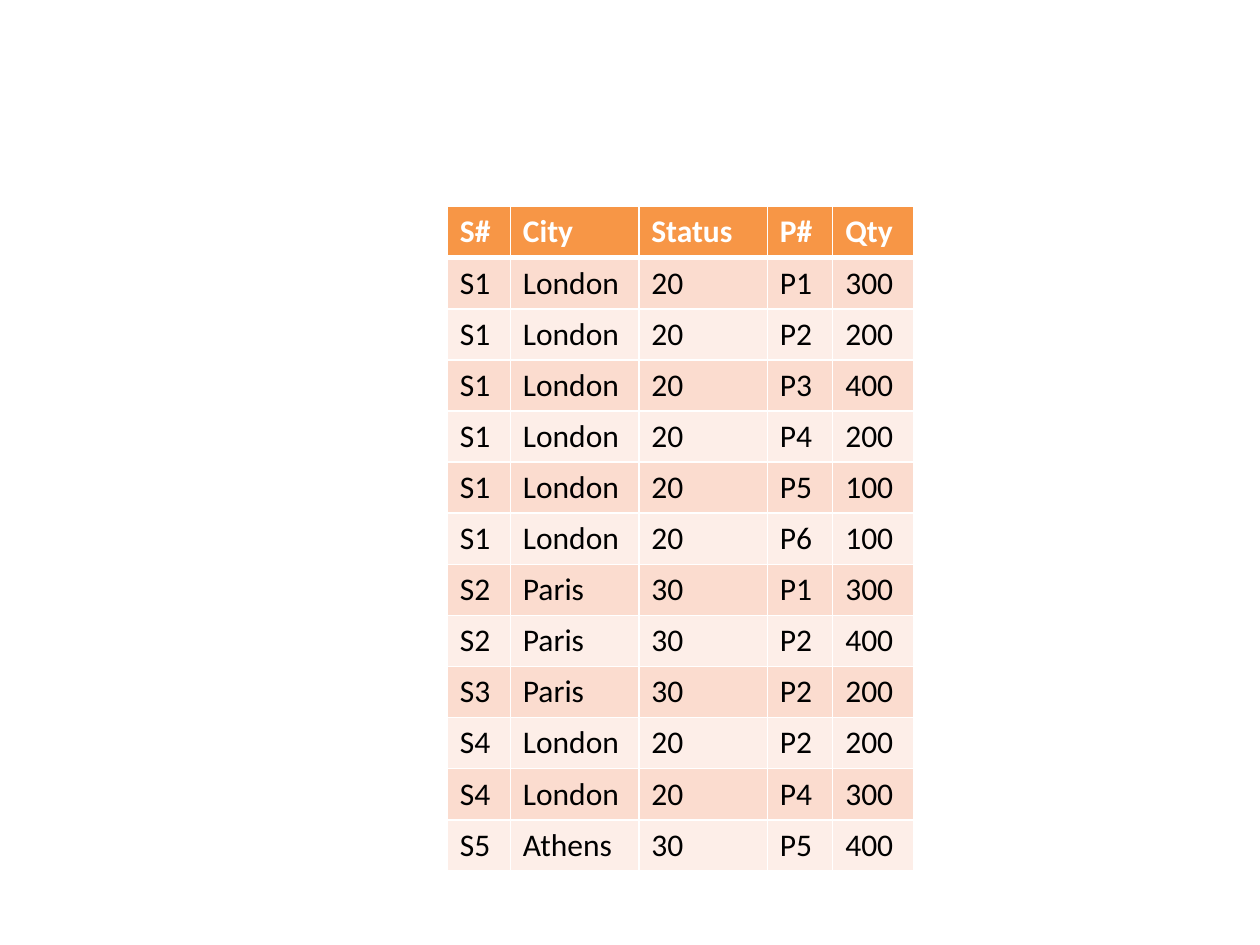
import pptx
import pptx.dml.color
import pptx.oxml.ns
import pptx.util
from lxml import etree

Inches = pptx.util.Inches
Pt = pptx.util.Pt

HEAD = ("S#", "City", "Status", "P#", "Qty")
STOCK = [
    ("S1", "London", "20", [("P1", "300"), ("P2", "200"), ("P3", "400"),
                            ("P4", "200"), ("P5", "100"), ("P6", "100")]),
    ("S2", "Paris", "30", [("P1", "300"), ("P2", "400")]),
    ("S3", "Paris", "30", [("P2", "200")]),
    ("S4", "London", "20", [("P2", "200"), ("P4", "300")]),
    ("S5", "Athens", "30", [("P5", "400")]),
]
WIDTHS = (0.5, 1.02, 1.02, 0.52, 0.64)
LEFT, TOP, HIGH = 3.55, 1.64, 0.4
WHITE, BLACK, ORANGE = "FFFFFF", "000000", "F79646"
BANDS = ("FBDCCF", "FDEEE8")
THIN, THICK = 0.96, 3


def paint(part, tint):
    if hasattr(part, "solid"):
        part.solid()
        part = part.fore_color
    part.rgb = pptx.dml.color.RGBColor.from_string(tint)


def edge(cell, side, width):
    props = cell._tc.get_or_add_tcPr()
    name = pptx.oxml.ns.qn
    line = etree.SubElement(props, name("a:ln" + side), w=str(int(Pt(width))))
    fill = etree.SubElement(line, name("a:solidFill"))
    etree.SubElement(fill, name("a:srgbClr"), val=WHITE)


def write(cell, text, tint, bold):
    run = cell.text_frame.paragraphs[0].add_run()
    run.text = text
    run.font.name = "Calibri"
    run.font.size = Pt(18)
    run.font.bold = bold
    paint(run.font.color, tint)


def main():
    deck = pptx.Presentation()
    deck.slide_width, deck.slide_height = Inches(10), Inches(7.5)
    slide = deck.slides.add_slide(deck.slide_layouts[6])

    rows = [HEAD] + [(code, city, rank, part, count)
                     for code, city, rank, parts in STOCK
                     for part, count in parts]
    frame = slide.shapes.add_table(
        len(rows), len(HEAD), Inches(LEFT), Inches(TOP),
        Inches(sum(WIDTHS)), Inches(HIGH * len(rows)))
    table = frame.table
    for col, width in zip(table.columns, WIDTHS):
        col.width = Inches(width)

    for r, row in enumerate(rows):
        first = r == 0
        for c, text in enumerate(row):
            cell = table.cell(r, c)
            for side in "LRTB":
                heavy = (r, side) in ((0, "B"), (1, "T"))
                edge(cell, side, THICK if heavy else THIN)
            paint(cell.fill, ORANGE if first else BANDS[(r - 1) % 2])
            write(cell, text, WHITE if first else BLACK, first)

    deck.save("out.pptx")


if __name__ == "__main__":
    main()
